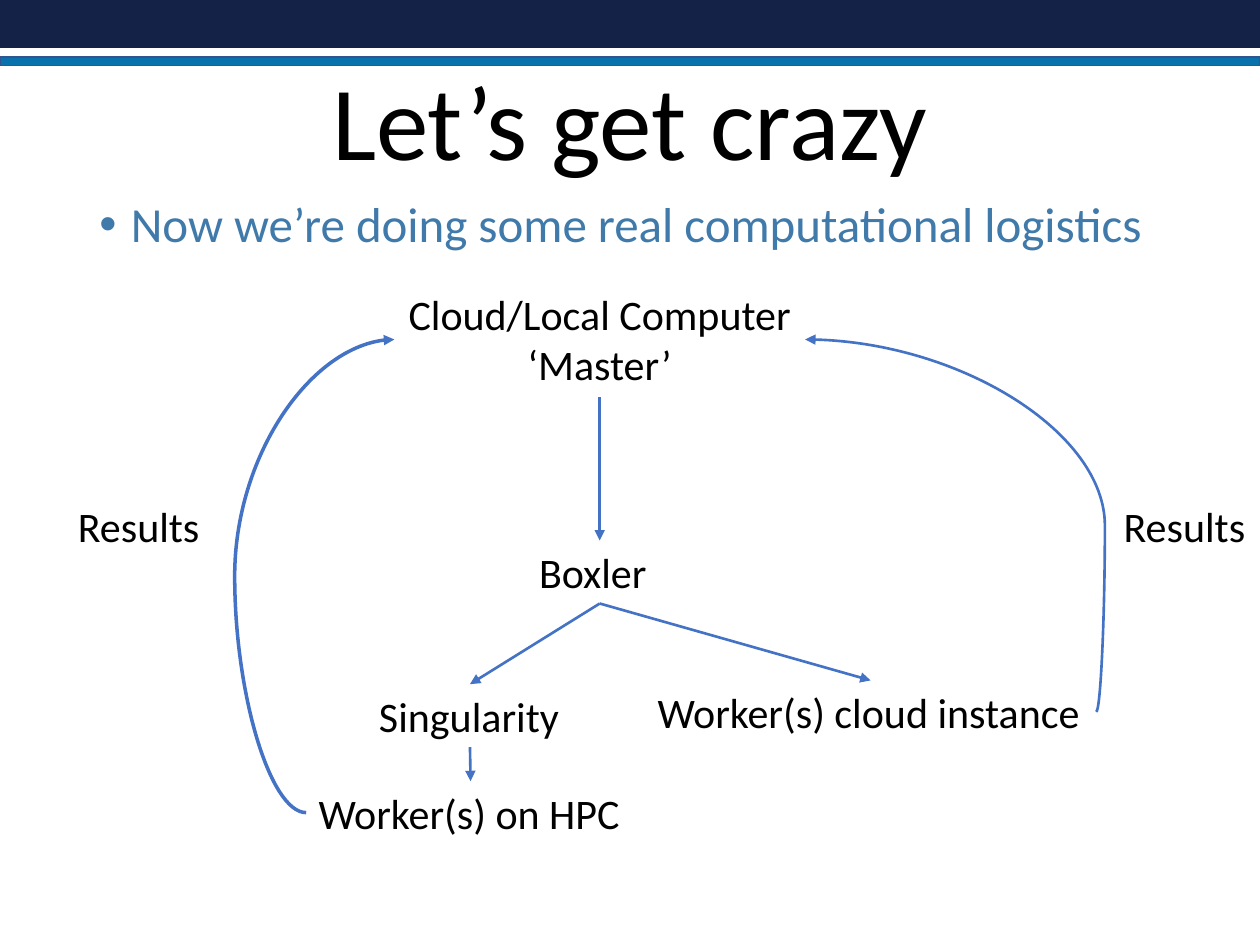
"""Build the slide that shows how a master hands work to cloud and HPC workers."""
import pptx
import pptx.dml.color
import pptx.enum.shapes
import pptx.enum.text
import pptx.oxml
import pptx.oxml.ns
import pptx.util
from pptx.util import Inches

ALIGN = pptx.enum.text.PP_ALIGN
ANCHOR = pptx.enum.text.MSO_ANCHOR
AUTO = pptx.enum.text.MSO_AUTO_SIZE
CONNECTOR = pptx.enum.shapes.MSO_CONNECTOR
TOP, LEFT, BOTTOM, RIGHT = range(4)
ARROW_COLOR = "4472C4"


def rgb(value):
    """Turn a hex string into a colour."""
    return pptx.dml.color.RGBColor.from_string(value)


def apply(target, values):
    """Set each named attribute on the target."""
    for name, value in values.items():
        setattr(target, name, value)


def add_child(parent, tag, **attrs):
    """Append a DrawingML element and return it."""
    child = pptx.oxml.parse_xml(f"<a:{tag} {pptx.oxml.ns.nsdecls('a')}/>")
    for name, value in attrs.items():
        child.set(name, str(value))
    parent.append(child)
    return child


def add_bar(s, top, height, fill, line=None):
    """Add a full-width header bar."""
    sp = s.shapes.add_shape(pptx.enum.shapes.MSO_SHAPE.RECTANGLE,
                            0, Inches(top), Inches(10), Inches(height))
    sp.shadow.inherit = False
    sp.fill.solid()
    sp.fill.fore_color.rgb = rgb(fill)
    if line:
        sp.line.color.rgb = rgb(line)
        sp.line.width = pptx.util.Pt(1)
    else:
        sp.line.fill.background()


def add_text(s, box, lines, size, color="000000", frame=None, para=None, bullet=None):
    """Add a text box with one paragraph per line."""
    sp = s.shapes.add_textbox(*map(Inches, box))
    tf = sp.text_frame
    apply(tf, {"word_wrap": True, "auto_size": AUTO.NONE, **(frame or {})})
    for i, line in enumerate(lines):
        p = tf.add_paragraph() if i else tf.paragraphs[0]
        apply(p, para or {})
        if bullet:
            pPr = p._p.get_or_add_pPr()
            pPr.set("marL", str(Inches(0.25)))
            pPr.set("indent", str(Inches(-0.25)))
            add_child(pPr, "buFont", typeface="Arial")
            add_child(pPr, "buChar", char=bullet)
        r = p.add_run()
        r.text = line
        apply(r.font, {"name": "Calibri", "size": pptx.util.Pt(size)})
        r.font.color.rgb = rgb(color)
    return sp


def add_label(s, left, top, width, *lines):
    """Add a diagram label that fits its text."""
    height = 0.5 if len(lines) == 1 else 0.91
    return add_text(s, (left, top, width, height), lines, 24,
                    frame={"word_wrap": False, "auto_size": AUTO.SHAPE_TO_FIT_TEXT},
                    para={"alignment": ALIGN.CENTER if len(lines) > 1 else ALIGN.LEFT})


def add_arrow(s, start, start_side, end, end_side, bend=None, width=1.5):
    """Join two labels with an arrow, curved when a bend is given."""
    kind = CONNECTOR.STRAIGHT if bend is None else CONNECTOR.CURVE
    cx = s.shapes.add_connector(kind, 0, 0, 0, 0)
    cx.begin_connect(start, start_side)
    cx.end_connect(end, end_side)
    cx.line.color.rgb = rgb(ARROW_COLOR)
    cx.line.width = pptx.util.Pt(width)
    add_child(cx.line._get_or_add_ln(), "tailEnd", type="triangle")
    spPr = cx._element.spPr
    add_child(spPr, "effectLst")
    if bend is not None:
        geom = spPr.find(pptx.oxml.ns.qn("a:prstGeom"))
        for old in list(geom):
            geom.remove(old)
        add_child(add_child(geom, "avLst"), "gd", name="adj1",
                  fmla=f"val {round(bend * 100000)}")


def main():
    """Build and save the slide."""
    prs = pptx.Presentation()
    apply(prs, {"slide_width": Inches(10), "slide_height": Inches(7.5)})
    s = prs.slides.add_slide(prs.slide_layouts[6])

    add_bar(s, 0, 0.38, "142248")
    add_bar(s, 0.45, 0.07, "0971AB", "325491")
    add_text(s, (0, 0.35, 10, 1.15), ["Let’s get crazy"], 60,
             frame={"vertical_anchor": ANCHOR.BOTTOM},
             para={"alignment": ALIGN.CENTER, "line_spacing": 0.9})

    master = add_label(s, 3.13, 2.24, 3.26, "Cloud/Local Computer", "‘Master’")
    container = add_label(s, 4.18, 4.29, 1.16, "Boxler")
    cloud = add_label(s, 5.12, 5.4, 3.58, "Worker(s) cloud instance")
    singularity = add_label(s, 2.91, 5.43, 1.64, "Singularity")
    hpc = add_label(s, 2.43, 6.2, 2.61, "Worker(s) on HPC")
    for left in (0.52, 8.82):
        add_label(s, left, 3.92, 1.18, "Results")

    for start, end in ((master, container), (container, cloud),
                       (container, singularity), (singularity, hpc)):
        add_arrow(s, start, BOTTOM, end, TOP)
    add_arrow(s, cloud, RIGHT, master, RIGHT, bend=-0.03)
    add_arrow(s, hpc, LEFT, master, LEFT, bend=-0.81, width=2)

    add_text(s, (0.69, 1.54, 8.62, 2.95),
             ["Now we’re doing some real computational logistics"], 28, "407AAA",
             para={"line_spacing": 0.9}, bullet="•")
    prs.save("out.pptx")


if __name__ == "__main__":
    main()
